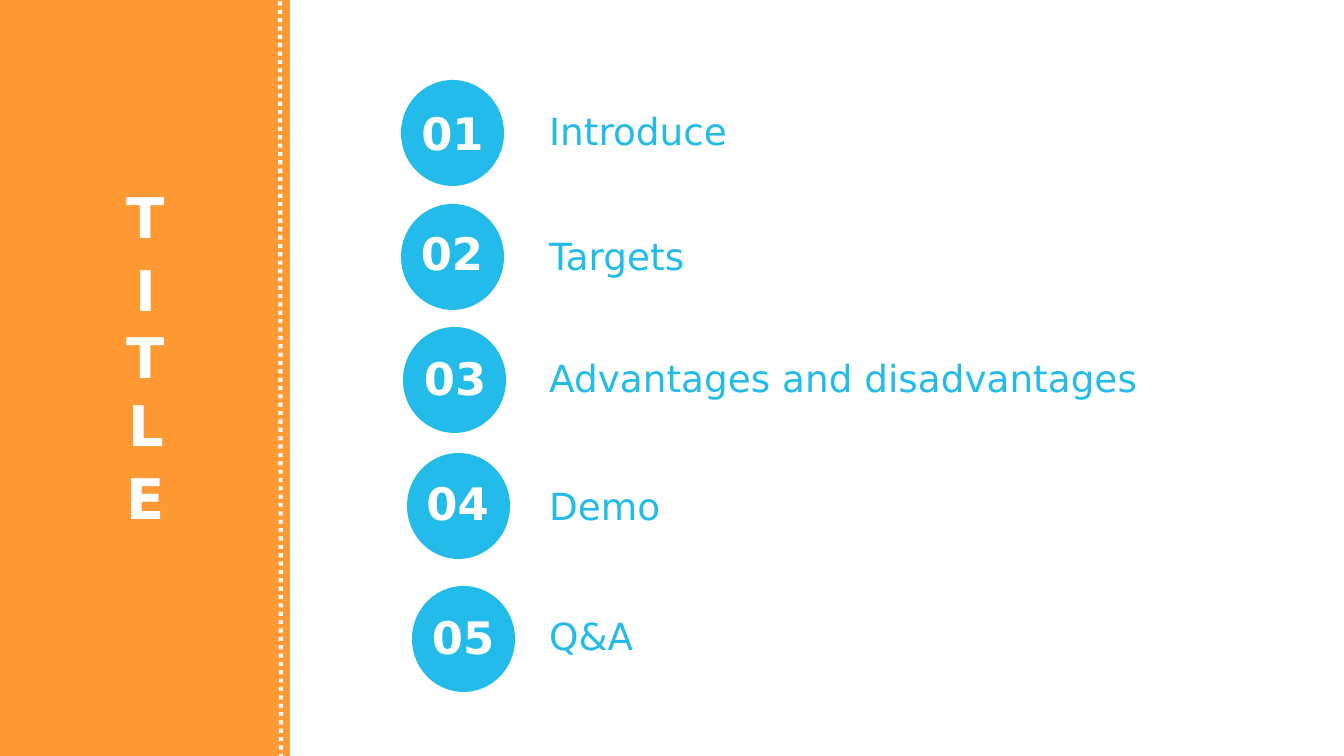
import pptx
import pptx.util
import pptx.dml.color
import pptx.enum.dml
import pptx.enum.shapes
import pptx.enum.text
import pptx.oxml.ns
import lxml.etree

ORANGE = pptx.dml.color.RGBColor(0xFF, 0x99, 0x33)
BLUE = pptx.dml.color.RGBColor(0x22, 0xBB, 0xEA)
WHITE = pptx.dml.color.RGBColor(0xFF, 0xFF, 0xFF)
FONT = "DejaVu Sans"
PX = 914400 / 134.4

# Each paragraph is a list of lines
TITLE = [["T"], ["I", "T", "L"], ["E"]]

# label, label width, label top, circle (left, top), number (left, top, width)
AGENDA = [
    ("Introduce", 563, 102, (401, 80), (407, 108, 91)),
    ("Targets", 563, 227, (401, 204), (405, 228, 94)),
    ("Advantages and disadvantages", 745, 349, (403, 327), (399, 353, 112)),
    ("Demo", 563, 477, (407, 453), (406, 478, 103)),
    ("Q&A", 563, 607, (412, 586), (407, 612, 112)),
]
CIRCLE_W, CIRCLE_H = 103, 106
NUMBER_H = 50
LABEL_LEFT, LABEL_H = 536, 59


def emu(*lengths):
    return [round(length * PX) for length in lengths]


def add_filled(shapes, preset, box, color):
    filled = shapes.add_shape(preset, *emu(*box))
    filled.shadow.inherit = False
    filled.fill.solid()
    filled.fill.fore_color.rgb = color
    filled.line.fill.background()


def add_text(shapes, box, paragraphs, size, color, heading=False):
    frame = shapes.add_textbox(*emu(*box)).text_frame
    frame.word_wrap = True
    if heading:
        frame.vertical_anchor = pptx.enum.text.MSO_ANCHOR.MIDDLE
    else:
        frame.auto_size = pptx.enum.text.MSO_AUTO_SIZE.SHAPE_TO_FIT_TEXT
    for i, lines in enumerate(paragraphs):
        paragraph = frame.add_paragraph() if i else frame.paragraphs[0]
        if heading:
            paragraph.alignment = pptx.enum.text.PP_ALIGN.CENTER
            paragraph.space_before = pptx.util.Pt(3.2)
        for j, line in enumerate(lines):
            if j:
                paragraph.add_line_break()
            run = paragraph.add_run()
            run.text = line
            run.font.name = FONT
            run.font.size = pptx.util.Pt(size)
            run.font.bold = heading
            run.font.color.rgb = color


deck = pptx.Presentation()
deck.slide_width, deck.slide_height = emu(1344, 756)
slide = deck.slides.add_slide(deck.slide_layouts[6])
preset = pptx.enum.shapes.MSO_SHAPE

# Side panel with vertical title
add_filled(slide.shapes, preset.RECTANGLE, (-3, 0, 293, 756), ORANGE)
add_text(slide.shapes, (11, 325, 270, 63), TITLE, 30, WHITE, heading=True)

# Dotted edge of the panel
edge = slide.shapes.add_connector(
    pptx.enum.shapes.MSO_CONNECTOR.STRAIGHT, *emu(281, 758, 280, 0))
edge.line.color.rgb = WHITE
edge.line.width = pptx.util.Pt(2.25)
edge.line.dash_style = pptx.enum.dml.MSO_LINE.ROUND_DOT
lxml.etree.SubElement(edge._element.spPr, pptx.oxml.ns.qn("a:effectLst"))

# Numbered agenda
for index, (label, label_w, label_top, circle, number) in enumerate(AGENDA, 1):
    badge = slide.shapes.add_group_shape().shapes
    add_filled(badge, preset.OVAL, (*circle, CIRCLE_W, CIRCLE_H), BLUE)
    add_text(badge, (*number, NUMBER_H), [[f"{index:02}"]], 24, WHITE, heading=True)
    add_text(slide.shapes, (LABEL_LEFT, label_top, label_w, LABEL_H),
             [[label]], 20, BLUE)

deck.save("out.pptx")
